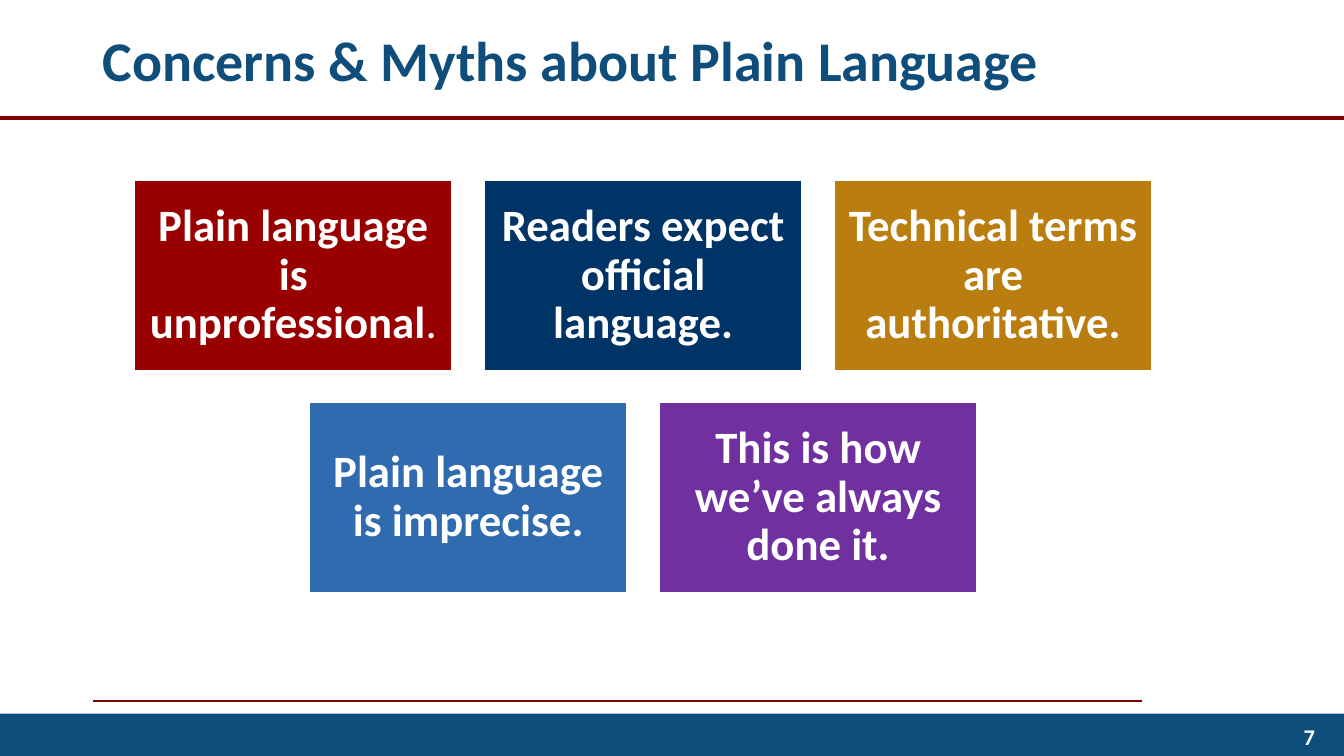
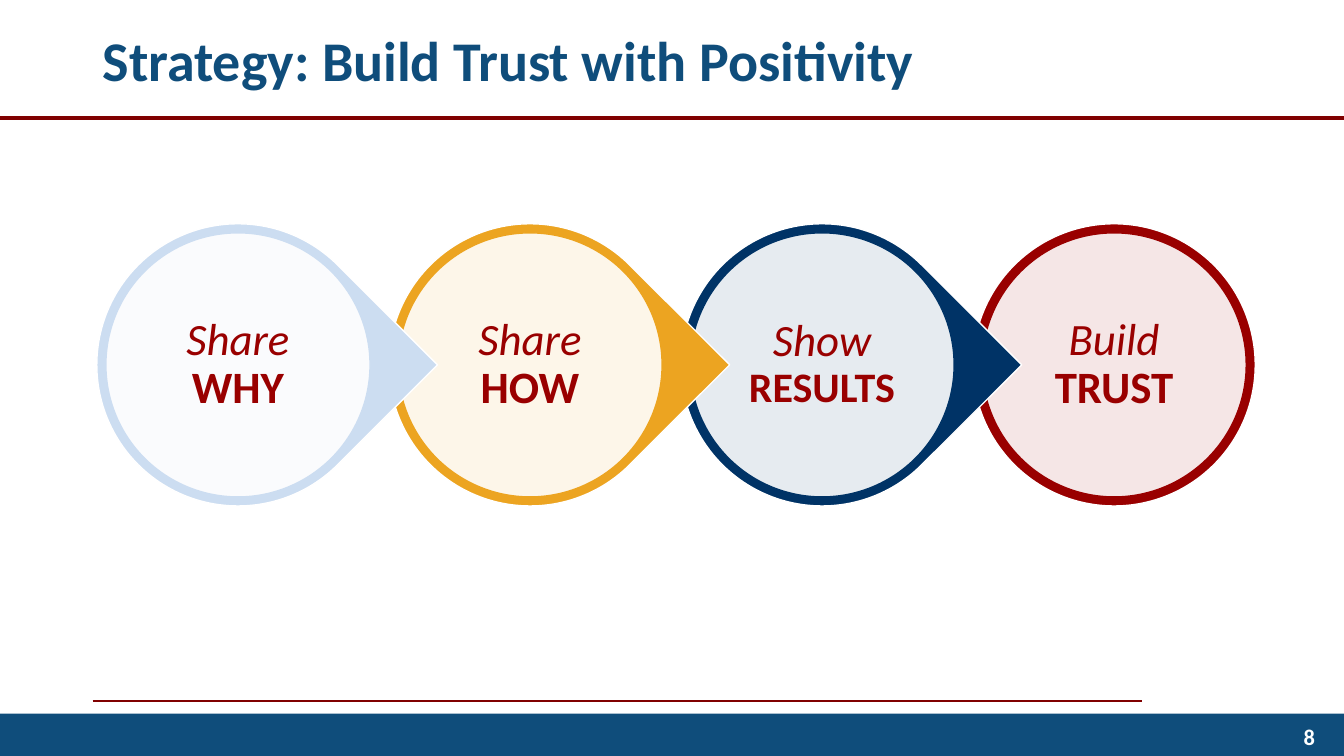
from lxml import etree
from pptx import Presentation
from pptx.dml.color import RGBColor
from pptx.enum import shapes as kinds, text as tx
from pptx.oxml import ns
from pptx.util import Inches, Pt

# Colours
WHITE = RGBColor(0xFF, 0xFF, 0xFF)
BLUE = RGBColor(0x0F, 0x4D, 0x7B)
MAROON = RGBColor(0x80, 0x00, 0x00)
RED = RGBColor(0x99, 0x00, 0x00)
NAVY = RGBColor(0x00, 0x33, 0x66)
OCHRE = RGBColor(0xBA, 0x7E, 0x10)
STEEL = RGBColor(0x30, 0x6A, 0xAF)
PURPLE = RGBColor(0x70, 0x30, 0xA0)
GOLD = RGBColor(0xEC, 0xA4, 0x21)
PALE = RGBColor(0xCC, 0xDD, 0xF1)

# Text styles
FONT = {"name": "Calibri"}
TITLE = {"size": Pt(40), "bold": True}
NUMBER = {"size": Pt(16), "bold": True}
STRONG = {"size": Pt(32), "bold": True}
PLAIN = {"size": Pt(32)}
SLANT = {"size": Pt(32), "italic": True}
SMALL = {"size": Pt(30), "bold": True}


def draw(slide, kind, box, fill, line=None):
    shape = slide.shapes.add_shape(kind, *map(Inches, box))
    shape.shadow.inherit = False
    shape.fill.solid()
    shape.fill.fore_color.rgb = fill
    if line is None:
        shape.line.fill.background()
    else:
        shape.line.color.rgb = line
        shape.line.width = Pt(1)
    return shape


def write(shape, runs, color, align, inset=None, spacing=1.0):
    frame = shape.text_frame
    frame.word_wrap = True
    frame.vertical_anchor = tx.MSO_ANCHOR.MIDDLE
    if inset is not None:
        for side in ("left", "right", "top", "bottom"):
            setattr(frame, "margin_" + side, Inches(inset))
    para = frame.paragraphs[0]
    para.alignment = align
    para.line_spacing = spacing
    for words, style in runs:
        run = para.add_run()
        run.text = words
        run.font.color.rgb = color
        for key, value in (FONT | style).items():
            setattr(run.font, key, value)


deck = Presentation()
deck.slide_width, deck.slide_height = Inches(13.33), Inches(7.5)
RECT = kinds.MSO_SHAPE.RECTANGLE
OVAL = kinds.MSO_SHAPE.OVAL
DROP = kinds.MSO_SHAPE.TEAR
LEFT, MID, RIGHT = tx.PP_ALIGN.LEFT, tx.PP_ALIGN.CENTER, tx.PP_ALIGN.RIGHT

# Shared frame: rules, footer band, title, slide number
titles = ["Concerns & Myths about Plain Language",
          "Strategy: Build Trust with Positivity"]
rules = [(0.92, 11.33, 6.95, 1.5), (0, 13.33, 1.17, 3)]
for number, title in enumerate(titles, 7):
    slide = deck.slides.add_slide(deck.slide_layouts[6])
    for start, end, y, width in rules:
        rule = slide.shapes.add_connector(
            kinds.MSO_CONNECTOR.STRAIGHT,
            Inches(start), Inches(y), Inches(end), Inches(y))
        rule.line.color.rgb = MAROON
        rule.line.width = Pt(width)
        etree.SubElement(rule._element.spPr, ns.qn("a:effectLst"))
    draw(slide, RECT, (0, 7.08, 13.33, 0.42), BLUE)
    labels = [((0.92, 0, 11.5, 1.17), title, TITLE, BLUE, LEFT),
              ((10.14, 7.1, 3, 0.42), str(number), NUMBER, WHITE, RIGHT)]
    for box, words, style, color, align in labels:
        label = slide.shapes.add_textbox(*map(Inches, box))
        write(label, [(words, style)], color, align)
myths, trust = deck.slides

# Myths: centred rows of cards
rows = [
    [(RED, [("Plain language is unprofessional", STRONG), (".", PLAIN)]),
     (NAVY, [("Readers expect official language.", STRONG)]),
     (OCHRE, [("Technical terms are authoritative.", STRONG)])],
    [(STEEL, [("Plain language is imprecise.", STRONG)]),
     (PURPLE, [("This is how we’ve always done it.", STRONG)])],
]
wide, high, gap, centre = 3.15, 1.89, 0.32, 6.38
for r, row in enumerate(rows):
    first = centre - (len(row) * (wide + gap) - gap) / 2
    for c, (fill, runs) in enumerate(row):
        box = (first + c * (wide + gap), 1.79 + r * 2.2, wide, high)
        card = draw(myths, RECT, box, fill, WHITE)
        write(card, runs, WHITE, MID, 0.13, 0.9)

# Trust: chain of drops, last step at the back
steps = [
    (DROP, PALE, "Share ", "WHY", STRONG),
    (DROP, GOLD, "Share ", "HOW", STRONG),
    (DROP, NAVY, "Show ", "RESULTS", SMALL),
    (OVAL, RED, "Build ", "TRUST", STRONG),
]
size, rim, top = 2.8, 0.09, 2.22
pitch = (9.65 - 0.96) / 3
for i, (kind, color, verb, noun, style) in reversed(list(enumerate(steps))):
    x = 0.96 + i * pitch
    ring = draw(trust, kind, (x, top, size, size), color, WHITE)
    if kind == DROP:
        ring.rotation = 45
    inner = size - 2 * rim
    disc = draw(trust, OVAL, (x + rim, top + rim, inner, inner), WHITE, color)
    tint = disc.fill._xPr.find(".//" + ns.qn("a:srgbClr"))
    etree.SubElement(tint, ns.qn("a:alpha"), val="90000")
    write(disc, [(verb, SLANT), (noun, style)], RED, MID, 0.04, 0.9)

deck.save("out.pptx")
